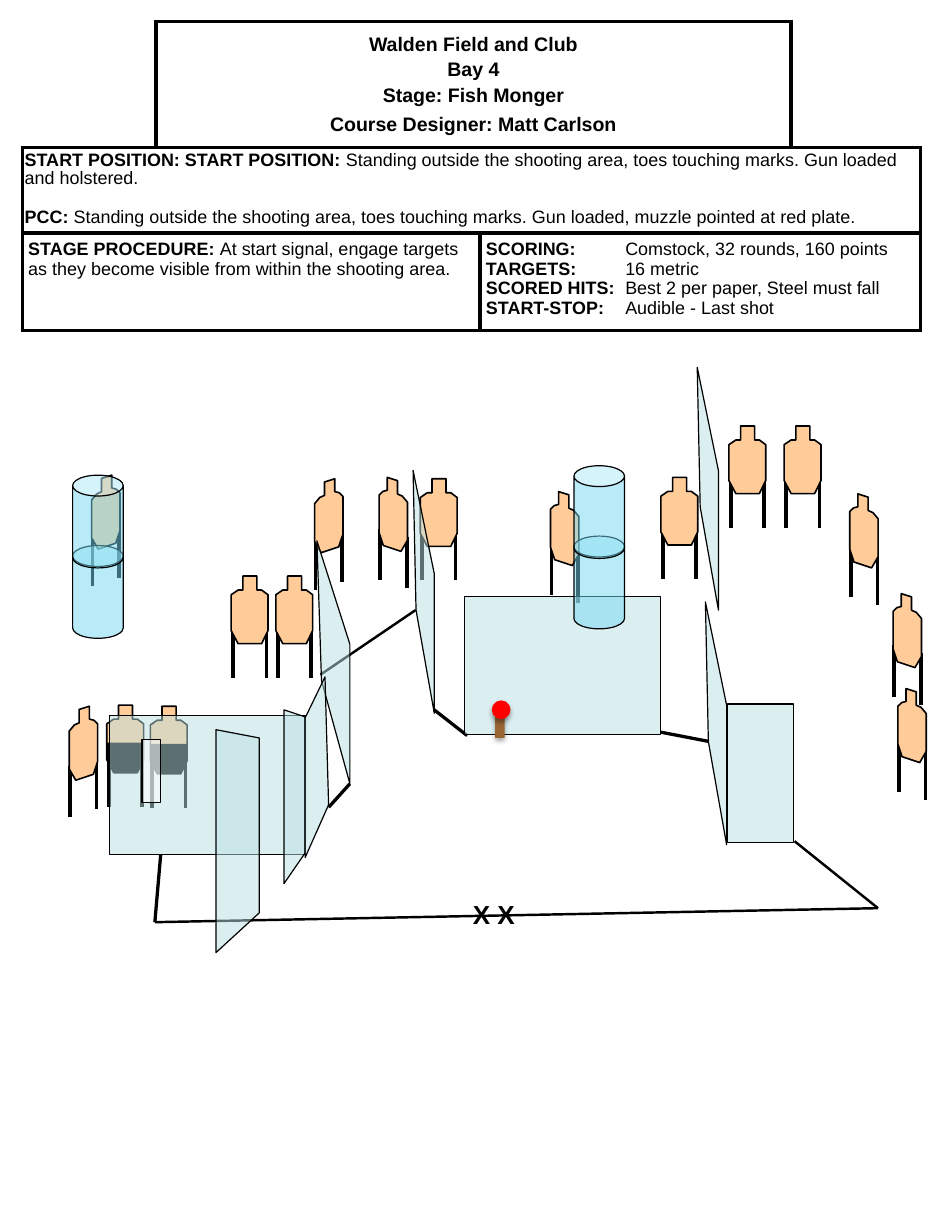
from dataclasses import dataclass

from lxml import etree
from pptx import Presentation
from pptx.dml.color import RGBColor
from pptx.enum.shapes import MSO_CONNECTOR, MSO_SHAPE
from pptx.enum.text import MSO_ANCHOR, PP_ALIGN
from pptx.oxml.ns import qn
from pptx.util import Pt

RECT, OVAL, CAN = MSO_SHAPE.RECTANGLE, MSO_SHAPE.OVAL, MSO_SHAPE.CAN
STRAIGHT = MSO_CONNECTOR.STRAIGHT
CENTER, MIDDLE = PP_ALIGN.CENTER, MSO_ANCHOR.MIDDLE


@dataclass(frozen=True)
class Theme:
    """Colours, font and sizes of the stage sheet."""
    ink: str = "000000"
    paper: str = "FFFFFF"
    tan: str = "FFCC99"
    wall: str = "BBE0E3"
    drum: str = "73D9F1"
    post: str = "996633"
    plate: str = "FF0000"
    font: str = "Arial"
    title: float = 12
    body: float = 11
    mark: float = 16
    thin: float = 0.75
    edge: float = 1
    bold: float = 2.25


@dataclass(frozen=True)
class Box:
    """A region in points."""
    x: float
    y: float
    w: float
    h: float


T = Theme()
FRONT = [(7.2, 0), (15.8, 0), (15.8, 8.6), (18.7, 8.6), (22.6, 11.5), (22.6, 33.5),
         (18.7, 41.5), (4.3, 41.5), (0, 33.5), (0, 11.5), (4.3, 8.6), (7.2, 8.6)]
MASK = [(0, 23), (22.6, 23)] + FRONT[5:9]
SIDE = [(6.1, 2), (12.4, 0), (12.4, 7.9), (15.1, 8.6), (17.4, 10.8), (17.4, 34),
        (14.8, 41.8), (4, 45.4), (0, 38.5), (0, 15.3), (3.2, 11.5), (6.1, 10.2)]
MIRROR = [(17.4 - x, y) for x, y in SIDE]
LEGS = [(1.2, 31), (21.7, 31)]
TURNED = [(0.5, 36.7), (16.7, 31.8)]
FLIPPED = [(17.4 - x, y) for x, y in TURNED]


def paint(shape, fill, width=0, alpha=100):
    """Fill and outline a shape, without a shadow."""
    shape.shadow.inherit = False
    shape.fill.solid()
    shape.fill.fore_color.rgb = RGBColor.from_string(fill)
    if alpha < 100:
        tint = shape._element.spPr.find(qn("a:solidFill"))[0]
        etree.SubElement(tint, qn("a:alpha"), val=str(alpha * 1000))
    if width:
        shape.line.color.rgb = RGBColor.from_string(T.ink)
        shape.line.width = Pt(width)
    else:
        shape.line.fill.background()
    return shape


def solid(shapes, kind, x, y, w, h):
    """Add a preset shape, measured in points."""
    return shapes.add_shape(kind, Pt(x), Pt(y), Pt(w), Pt(h))


def outline(shapes, x, y, points):
    """Add a closed outline whose points start from x, y."""
    dots = [(Pt(x + a), Pt(y + b)) for a, b in points]
    form = shapes.build_freeform(*dots[0], scale=1.0)
    form.add_line_segments(dots[1:], close=True)
    return form.convert_to_shape()


def stroke(shapes, x, y, to_x, to_y, width):
    """Add a plain straight line."""
    line = shapes.add_connector(STRAIGHT, Pt(x), Pt(y), Pt(to_x), Pt(to_y))
    line.line.color.rgb = RGBColor.from_string(T.ink)
    line.line.width = Pt(width)
    etree.SubElement(line._element.spPr, qn("a:effectLst"))


def write(para, runs, size):
    """Add (text, bold) runs to a paragraph."""
    for text, bold in runs:
        run = para.add_run()
        run.text = text
        run.font.name, run.font.size, run.font.bold = T.font, Pt(size), bold
        run.font.color.rgb = RGBColor.from_string(T.ink)


def border(cell, sides):
    """Draw the named sides of a cell and clear the others."""
    props = cell._tc.get_or_add_tcPr()
    for side in "LRTB":
        line = etree.SubElement(props, qn("a:ln" + side), w=str(Pt(T.bold)))
        if side in sides:
            fill = etree.SubElement(line, qn("a:solidFill"))
            etree.SubElement(fill, qn("a:srgbClr"), val=T.ink)
        else:
            etree.SubElement(line, qn("a:noFill"))
    cell.fill.solid()
    cell.fill.fore_color.rgb = RGBColor.from_string(T.paper)


def fill_cell(cell, paras, size, pad=(3.6, 3.6), align=None, space=None, tab=None):
    """Write (runs, space before) paragraphs into a cell."""
    cell.margin_left = cell.margin_right = Pt(pad[0])
    cell.margin_top = cell.margin_bottom = Pt(pad[1])
    frame = cell.text_frame
    for i, (runs, before) in enumerate(paras):
        para = frame.add_paragraph() if i else frame.paragraphs[0]
        para.alignment, para.line_spacing = align, space
        para.space_before = Pt(before)
        if tab:
            stops = etree.SubElement(para._p.get_or_add_pPr(), qn("a:tabLst"))
            etree.SubElement(stops, qn("a:tab"), pos=str(Pt(tab)), algn="l")
        write(para, runs, size)


def header(slide, box):
    """Place the stage briefing table."""
    cols, rows = [82, 198.8, 190.8, 79.2], [77.6, 52.4, 60]
    table = slide.shapes.add_table(3, 4, Pt(box.x), Pt(box.y), Pt(box.w), Pt(box.h)).table
    table.first_row = table.horz_banding = False
    for col, width in zip(table.columns, cols):
        col.width = Pt(width)
    for row, height in zip(table.rows, rows):
        row.height = Pt(height)
    corners = {(0, 0): "RB", (0, 3): "LB"}
    for r in range(3):
        for c in range(4):
            border(table.cell(r, c), corners.get((r, c), "LRTB"))
    for r, start, end in [(0, 1, 2), (1, 0, 3), (2, 0, 1), (2, 2, 3)]:
        table.cell(r, start).merge(table.cell(r, end))

    titles = [("Walden Field and Club", 0), ("Bay 4", 2.4), ("Stage: Fish Monger", 2.4),
              ("Course Designer: Matt Carlson", 4.2)]
    name = table.cell(0, 1)
    name.vertical_anchor = MIDDLE
    fill_cell(name, [([(text, True)], gap) for text, gap in titles], T.title, align=CENTER)
    toes = "Standing outside the shooting area, toes touching marks. Gun loaded"
    fill_cell(table.cell(1, 0), [
        ([("START POSITION: START POSITION:", True), (f" {toes} and holstered.", False)], 0),
        ([("PCC: ", True), (f"{toes}, muzzle pointed at red plate.", False)], 13),
    ], T.body, pad=(1.44, 2.9), space=0.9)
    fill_cell(table.cell(2, 0), [
        ([("STAGE PROCEDURE: ", True),
          ("At start signal, engage targets as they become visible from within "
           "the shooting area.", False)], 0)], T.body)
    facts = [("SCORING:", "Comstock, 32 rounds, 160 points"), ("TARGETS:", "16 metric"),
             ("SCORED HITS:", "Best 2 per paper, Steel must fall"),
             ("START-STOP:", "Audible - Last shot")]
    fill_cell(table.cell(2, 2), [([(key, True), ("\t" + text, False)], 0) for key, text in facts],
              T.body, tab=85.5)


def target(slide, x, y, body, legs, masked=False):
    """Place one paper target on its two legs."""
    parts = slide.shapes.add_group_shape().shapes
    for a, b in legs:
        stroke(parts, x + a, y + b, x + a, y + b + 31.4, T.bold)
    paint(outline(parts, x, y, body), T.tan, T.edge)
    if masked:
        paint(outline(parts, x, y, MASK), T.ink)


def targets(slide, box):
    """Place all paper targets of the bay."""
    front = [(257.8, 77.8), (169.2, 137.5), (141.8, 137.5), (405.4, 77), (447.1, 45.4), (481, 45.4)]
    side = [(56.2, 75.6), (193, 77.8), (42.5, 217.4)]
    mirror = [(337.7, 85.7), (232.6, 77), (550.8, 206.6), (547.9, 148.3), (521.3, 87.1)]
    kinds = [(front, FRONT, LEGS, False), ([(65.5, 216.7), (92.2, 217.4)], FRONT, LEGS, True),
             (side, SIDE, TURNED, False), (mirror, MIRROR, FLIPPED, False)]
    for spots, body, legs, masked in kinds:
        for x, y in spots:
            target(slide, box.x + x, box.y + y, body, legs, masked)


def walls(slide, box):
    """Place the see-through walls and the port."""
    shapes = slide.shapes
    for x, y, w in [(67, 223.2, 120.2), (285.1, 149.8, 120.2), (446.4, 216, 40.3)]:
        paint(solid(shapes, RECT, box.x + x, box.y + y, w, 85), T.wall, T.thin, 50)
    paint(solid(shapes, RECT, box.x + 87.1, box.y + 237.6, 11.5, 38.9), T.paper, T.thin, 50)
    for x, y, w in [(253.4, 72.7, 13), (432.7, 153.4, 13), (427.7, 9.4, 13), (194.4, 115.9, 20.2)]:
        lean = [(w, 149), (w, 63.4), (0, 0), (0.14 * w, 85.7)]
        paint(outline(shapes, box.x + x, box.y + y, lean), T.wall, T.thin, 50)
    for points in [
        [(174.2, 326.2), (174.2, 219.6), (187.2, 223.9), (187.2, 307.4)],
        [(187.2, 310.3), (187.2, 224.6), (199.4, 199.4), (201.6, 277.9)],
        [(132.5, 368.6), (132.5, 231.8), (159.1, 236.9), (159.1, 344.2)],
    ]:
        paint(outline(shapes, box.x, box.y, points), T.wall, T.thin, 50)


def barrels(slide, box):
    """Place the two stacks of barrels."""
    for x, y in [(352.1, 69.8), (44.6, 75.6)]:
        parts = slide.shapes.add_group_shape().shapes
        for drop in (43.2, 0):
            can = solid(parts, CAN, box.x + x, box.y + y + drop, 31, 56.9)
            can.adjustments[0] = 0.413
            paint(can, T.drum, T.thin, 50)


def bounds(slide, box):
    """Draw the edge of the shooting area."""
    for x, y, to_x, to_y, width in [
        (95, 349.9, 538.6, 341.3, 1.5), (95, 349.9, 98.6, 308.2, 2),
        (196.6, 198, 254.9, 158.4, 1.5), (487.4, 300.2, 538.6, 341.3, 1.5),
        (201.6, 279.4, 214.6, 265, 2), (286.6, 235.4, 266.4, 219.6, 2),
        (434.9, 239, 405.4, 233.3, 2),
    ]:
        stroke(slide.shapes, box.x + x, box.y + y, box.x + to_x, box.y + to_y, width)


def props(slide, box):
    """Place the red plate and the start marks."""
    parts = slide.shapes.add_group_shape().shapes
    for kind, x, y, w, h, fill in [(RECT, 303.8, 221, 5.8, 15.8, T.post),
                                   (OVAL, 301.7, 213.8, 11.5, 11.5, T.plate)]:
        part = paint(solid(parts, kind, box.x + x, box.y + y, w, h), fill)
        glow = etree.SubElement(part._element.spPr.find(qn("a:effectLst")), qn("a:outerShdw"),
                                blurRad=str(Pt(3.1)), dist=str(Pt(1.8)), dir="5400000")
        tint = etree.SubElement(glow, qn("a:srgbClr"), val=T.ink)
        etree.SubElement(tint, qn("a:alpha"), val="35000")
    marks = slide.shapes.add_textbox(Pt(box.x + 283), Pt(box.y + 331.9), Pt(41.8), Pt(26.6))
    write(marks.text_frame.paragraphs[0], [("X X", True)], T.mark)


def main():
    """Build the stage sheet."""
    deck = Presentation()
    deck.slide_width, deck.slide_height = Pt(576), Pt(756)
    slide = deck.slides.add_slide(deck.slide_layouts[6])
    header(slide, Box(13.7, 13, 550.8, 190))
    bay = Box(0, 216, 576, 380)
    for place in (bounds, targets, walls, barrels, props):
        place(slide, bay)
    deck.save("out.pptx")


if __name__ == "__main__":
    main()
